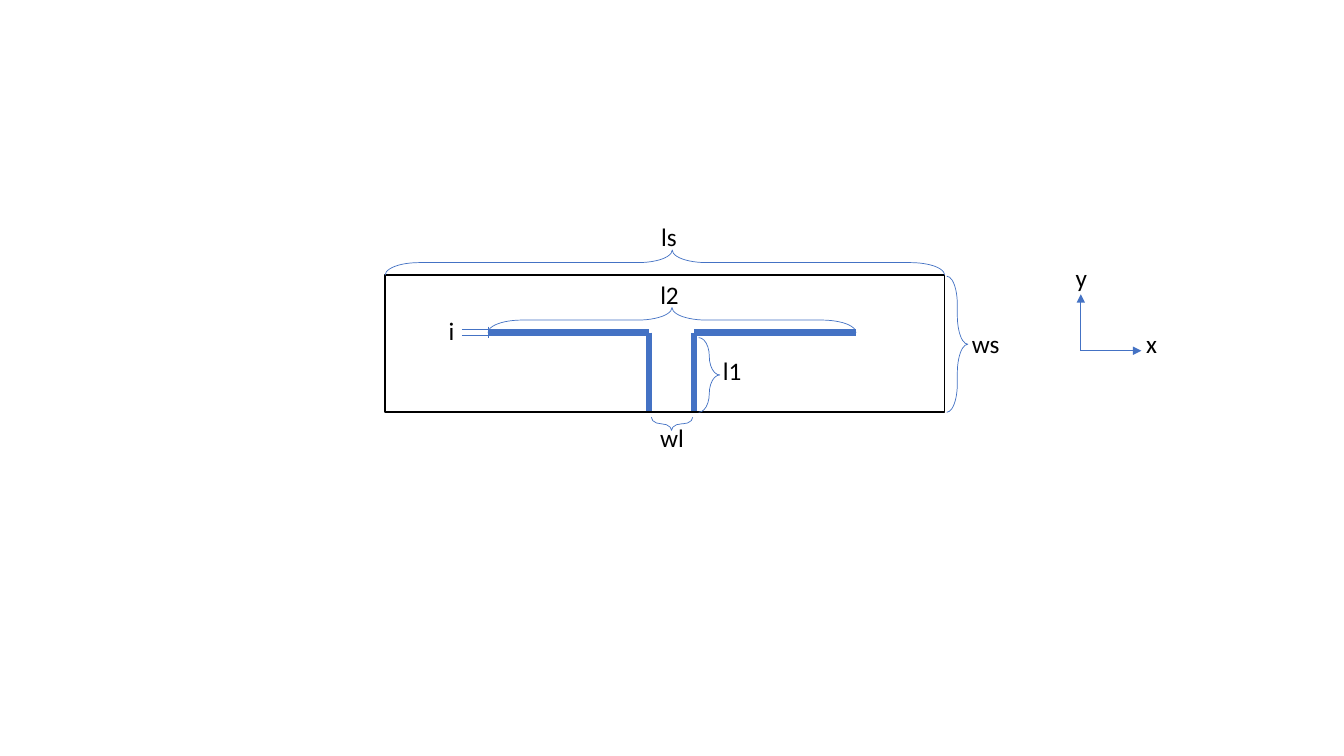
"""Draw a dimensioned sketch of a two-armed strip inside a frame."""
import dataclasses

import lxml.etree
import pptx
import pptx.dml.color
import pptx.enum.shapes
import pptx.enum.text
import pptx.oxml.ns
import pptx.util

Inches = pptx.util.Inches


@dataclasses.dataclass(frozen=True)
class Theme:
    blue: str = "4472C4"
    black: str = "000000"
    font: str = "Calibri"
    label_size: int = 18
    strip_width: float = 4.5
    frame_width: float = 1
    thin_width: float = 0.5


theme = Theme()
deck = pptx.Presentation()
deck.slide_width, deck.slide_height = Inches(13.33), Inches(7.5)
page = deck.slides.add_slide(deck.slide_layouts[6])


def add_label(text, *, left, top, width, wrap=False, size=theme.label_size, color=theme.black):
    """Add a one-line label in the theme font."""
    box = page.shapes.add_textbox(Inches(left), Inches(top), Inches(width), Inches(0.4))
    frame = box.text_frame
    frame.word_wrap = wrap
    frame.auto_size = pptx.enum.text.MSO_AUTO_SIZE.SHAPE_TO_FIT_TEXT
    span = frame.paragraphs[0].add_run()
    span.text = text
    span.font.name = theme.font
    span.font.size = pptx.util.Pt(size)
    span.font.color.rgb = pptx.dml.color.RGBColor.from_string(color)


def add_line(start, end, *, width, arrow=False):
    """Add a straight blue line, with an arrowhead at its end if asked."""
    line = page.shapes.add_connector(
        pptx.enum.shapes.MSO_CONNECTOR.STRAIGHT, *map(Inches, start + end))
    line.line.color.rgb = pptx.dml.color.RGBColor.from_string(theme.blue)
    line.line.width = pptx.util.Pt(width)
    if arrow:
        lxml.etree.SubElement(
            line.line._get_or_add_ln(), pptx.oxml.ns.qn("a:tailEnd"), type="triangle")
    lxml.etree.SubElement(line._element.spPr, pptx.oxml.ns.qn("a:effectLst"))


arm_y, foot_y = 3.3, 4.09
for stem_x, tip_x in ((6.44, 4.84), (6.88, 8.49)):
    add_line((stem_x, arm_y), (stem_x, foot_y), width=theme.strip_width)
    add_line((tip_x, arm_y), (stem_x, arm_y), width=theme.strip_width)

rectangle = pptx.enum.shapes.MSO_SHAPE.RECTANGLE
brace = pptx.enum.shapes.MSO_SHAPE.RIGHT_BRACE
outlines = (
    (rectangle, 3.82, 2.73, 5.55, 1.36, 0, (), theme.black, theme.frame_width),
    (brace, 6.47, -0.17, 0.25, 5.55, 270, (1.349, 0.513), theme.blue, theme.thin_width),
    (brace, 6.54, 1.35, 0.25, 3.65, 270, (1.349, 0.5), theme.blue, theme.thin_width),
    (brace, 6.93, 3.35, 0.21, 0.74, 0, (1.349, 0.5), theme.blue, theme.thin_width),
    (brace, 6.6, 4, 0.13, 0.41, 90, (1.349, 0.513), theme.blue, theme.thin_width),
    (brace, 9.39, 2.74, 0.21, 1.35, 0, (1.349, 0.5), theme.blue, theme.thin_width),
)
for kind, left, top, width, height, turn, bends, color, weight in outlines:
    outline = page.shapes.add_shape(
        kind, Inches(left), Inches(top), Inches(width), Inches(height))
    outline.shadow.inherit = False
    outline.fill.background()
    outline.line.color.rgb = pptx.dml.color.RGBColor.from_string(color)
    outline.line.width = pptx.util.Pt(weight)
    outline.rotation = turn
    for index, bend in enumerate(bends):
        outline.adjustments[index] = bend

axis_origin = (10.72, 3.48)
for axis_end in ((10.72, 2.92), (11.32, 3.48)):
    add_line(axis_origin, axis_end, width=theme.thin_width, arrow=True)

add_line((4.84, 3.24), (4.84, 3.35), width=theme.thin_width)
for mark_y in (3.33, 3.27):
    add_line((4.58, mark_y), (4.92, mark_y), width=theme.thin_width)

labels = (
    ("ls", 6.46, 2.15, 0.36, False),
    ("l2", 6.45, 2.72, 0.42, True),
    ("l1", 7.07, 3.48, 0.39, False),
    ("wl", 6.45, 4.14, 0.44, False),
    ("ws", 9.54, 3.21, 0.48, False),
    ("y", 10.57, 2.55, 0.32, False),
    ("x", 11.27, 3.21, 0.32, False),
    ("i", 4.35, 3.08, 0.22, True),
)
for text, left, top, width, wrap in labels:
    add_label(text, left=left, top=top, width=width, wrap=wrap)

deck.save("out.pptx")
